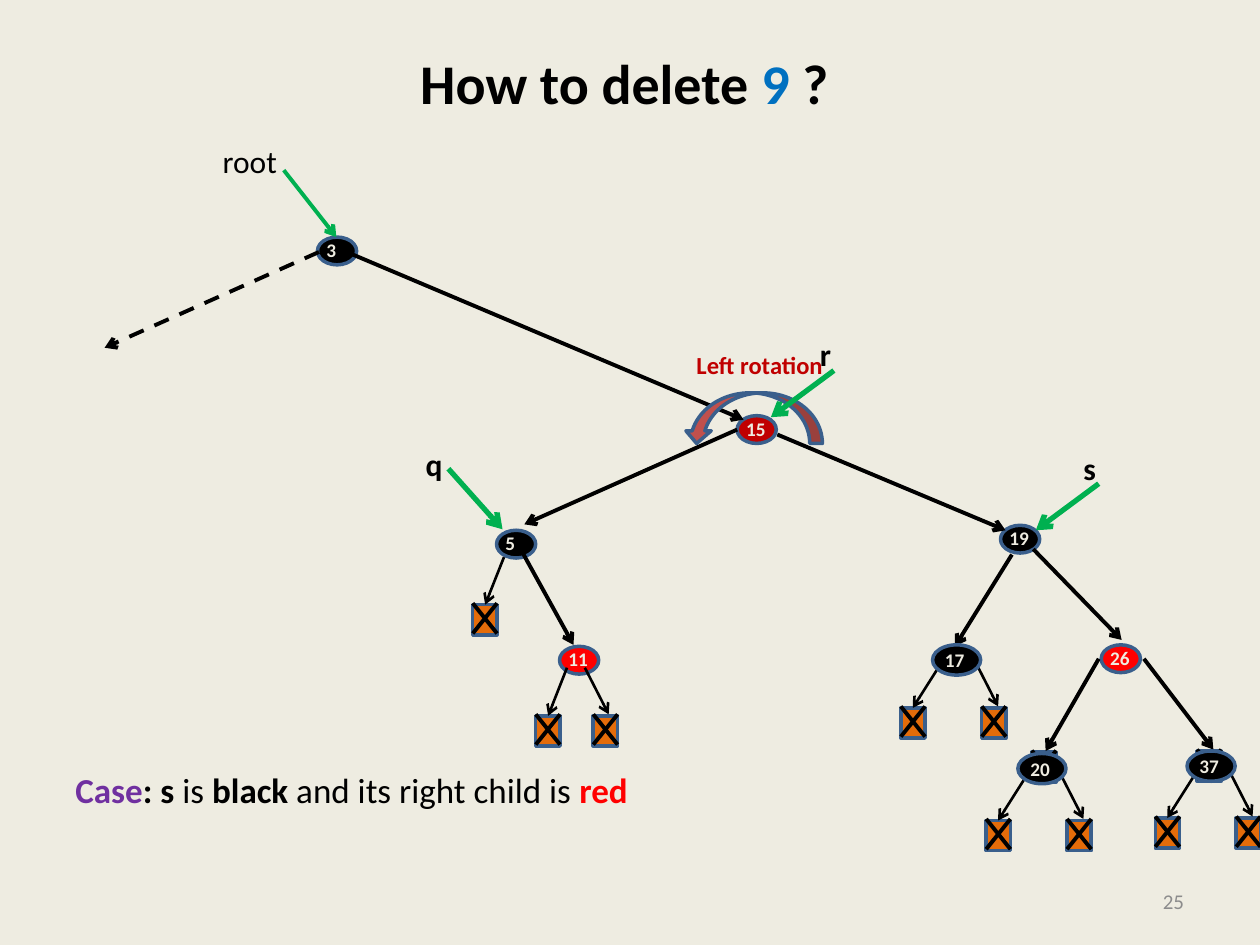
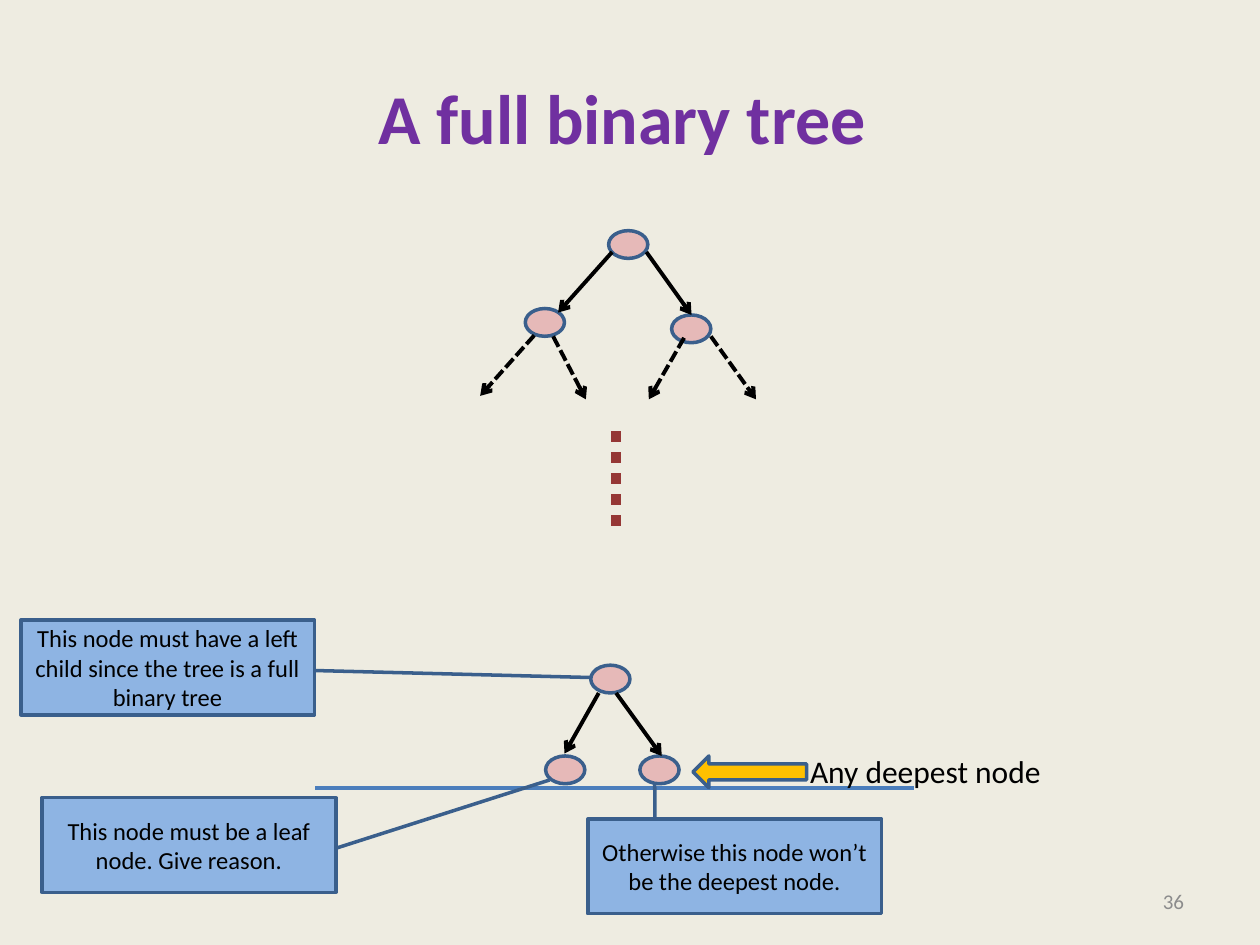
from typing import NamedTuple, Optional

from lxml.etree import SubElement
from pptx import Presentation
from pptx.dml.color import RGBColor
from pptx.enum.dml import MSO_LINE as Dash
from pptx.enum.shapes import MSO_CONNECTOR, MSO_SHAPE as Kind
from pptx.enum.text import MSO_ANCHOR as Anchor, PP_ALIGN as Align
from pptx.oxml.ns import qn
from pptx.util import Cm, Pt

FONT = "Calibri"
PAPER, BLACK, EDGE = "EEECE1", "000000", "3A5F8C"
RED, DARK_RED, GREEN, PURPLE = "FF0000", "C00000", "00B050", "7030A0"
ORANGE, PINK, GOLD, SKY = "E46C0A", "E6B9B8", "FFC000", "8EB4E3"


class Box(NamedTuple):
    x: float
    y: float
    w: float
    h: float


class Run(NamedTuple):
    text: str
    color: str = BLACK
    bold: bool = False


class Line(NamedTuple):
    x1: float
    y1: float
    x2: float
    y2: float
    color: str = BLACK
    width: float = 2.25
    dash: Optional[Dash] = None
    head: bool = True


class Node(NamedTuple):
    x: float
    y: float
    key: str = ""
    fill: str = BLACK


class Twig(NamedTuple):
    """A black node whose two children are leaves, drop below its top."""
    x: float
    y: float
    key: str
    drop: float


class Tag(NamedTuple):
    """A pointer name and its green arrow."""
    box: Box
    run: Run
    line: Line


class Note(NamedTuple):
    x: float
    y: float
    text: str
    bends: tuple


SMALL, LARGE, LEAF = (0.79, 0.56), (0.97, 0.61), (0.49, 0.61)
LETTER = (0.71, 0.91)
THIN, BOLD = 1.5, 3

# Slide 25: the search tree
LEAVES = [(9.53, 12.19), (10.8, 14.43), (11.96, 14.43),
          (20.8, 15.16), (24.13, 15.14)]
NODES = [Node(14.86, 8.38, "15", DARK_RED), Node(22.2, 13, "26", RED),
         Node(20.17, 10.59, "19"), Node(10.01, 10.69, "5"),
         Node(11.28, 13.03, "11", RED), Node(6.4, 4.78, "3")]
TWIGS = [Twig(18.8, 13, "17", 1.27), Twig(20.52, 15.19, "20", 1.35),
         Twig(23.93, 15.14, "37", 1.35)]
LINKS = [
    Line(10.16, 11.23, 9.78, 12.19, width=THIN),
    Line(11.43, 13.46, 11.05, 14.43, width=THIN),
    Line(11.79, 13.46, 12.27, 14.4, width=THIN),
    Line(14.86, 8.66, 10.57, 10.57),
    Line(20.4, 11.18, 19.25, 13.03),
    Line(20.83, 11.07, 22.61, 12.9),
    Line(23.06, 13.28, 24.46, 15.11),
    Line(10.54, 11.15, 11.56, 13),
    Line(22.15, 13.28, 21.08, 15.14),
    Line(15.67, 8.76, 20.27, 10.69),
    Line(6.99, 5.08, 14.99, 8.46),
    Line(6.43, 5.08, 2.11, 7.01, dash=Dash.DASH),
]
TAGS = [
    Tag(Box(4.24, 2.74, 1.63, 1.02), Run("root"),
        Line(5.72, 3.43, 6.78, 4.78, GREEN)),
    Tag(Box(8.33, 8.84, *LETTER), Run("q", bold=True),
        Line(9.04, 9.45, 10.13, 10.67, GREEN, BOLD)),
    Tag(Box(21.59, 8.92, *LETTER), Run("s", bold=True),
        Line(22.15, 9.75, 20.88, 10.69, GREEN, BOLD)),
    Tag(Box(16.28, 6.63, *LETTER), Run("r", bold=True),
        Line(16.81, 7.47, 15.54, 8.41, GREEN, BOLD)),
]

# Slide 36: the full binary tree
SPOTS = [(12.9, 15.24), (11.91, 13.41), (11, 15.24),
         (12.27, 4.65), (10.59, 6.22), (13.54, 6.35)]
FLOOR = Line(6.35, 15.88, 18.42, 15.88, "4B7EBC", head=False)
PATHS = [
    Line(12.42, 13.97, 13.34, 15.24),
    Line(12.07, 13.97, 11.38, 15.19),
    Line(13.03, 5.08, 13.94, 6.35),
    Line(12.34, 5.08, 11.25, 6.3),
    Line(10.77, 6.76, 9.68, 7.98, dash=Dash.SQUARE_DOT),
    Line(14.33, 6.78, 15.24, 8.05, dash=Dash.SQUARE_DOT),
    Line(13.79, 6.81, 13.08, 8.05, dash=Dash.SQUARE_DOT),
    Line(11.15, 6.78, 11.81, 8.05, dash=Dash.SQUARE_DOT),
    Line(12.42, 8.69, 12.42, 10.8, "953735", 6, Dash.ROUND_DOT, False),
]
NOTES = [
    Note(0.42, 12.5, "This node must have a left child since the tree "
         "is a full binary tree", (0.533, 1.002, 0.607, 1.942)),
    Note(0.85, 16.08, "This node must be a leaf node. Give reason.",
         (0.533, 1.002, -0.186, 1.728)),
    Note(11.85, 16.51, "Otherwise this node won’t be the deepest node.",
         (0.015, 0.229, -0.38, 0.228)),
]


def rgb(color: str) -> RGBColor:
    return RGBColor.from_string(color)


def place(box: Box) -> list:
    return [Cm(v) for v in box]


def write(frame, runs: list, size: float, align=Align.LEFT) -> None:
    para = frame.paragraphs[0]
    para.alignment = align
    font = para.font
    font.name, font.size = FONT, Pt(size)
    same = len({run[1:] for run in runs}) == 1
    if same:
        font.color.rgb, font.bold = rgb(runs[0].color), runs[0].bold
    for run in runs:
        part = para.add_run()
        part.text = run.text
        if not same:
            part.font.color.rgb, part.font.bold = rgb(run.color), run.bold


def add_text(slide, box: Box, runs: list, size: float, align=Align.LEFT,
             anchor=Anchor.TOP, wrap: bool = False, foot: float = 0.13) -> None:
    """Add a text box; foot is its bottom inset."""
    frame = slide.shapes.add_textbox(*place(box)).text_frame
    frame.word_wrap, frame.vertical_anchor = wrap, anchor
    frame.margin_bottom = Cm(foot)
    write(frame, runs, size, align)


def add_form(slide, kind: Kind, box: Box, fill: str):
    shape = slide.shapes.add_shape(kind, *place(box))
    shape.shadow.inherit = False
    shape.fill.solid()
    shape.fill.fore_color.rgb = rgb(fill)
    shape.line.color.rgb, shape.line.width = rgb(EDGE), Pt(2)
    return shape


def add_line(slide, line: Line) -> None:
    ends = [Cm(v) for v in line[:4]]
    link = slide.shapes.add_connector(MSO_CONNECTOR.STRAIGHT, *ends)
    link.line.color.rgb, link.line.width = rgb(line.color), Pt(line.width)
    if line.dash is not None:
        link.line.dash_style = line.dash
    props = link._element.spPr
    if line.head:
        SubElement(props.find(qn("a:ln")), qn("a:tailEnd"), type="arrow")
    SubElement(props, qn("a:effectLst"))


def add_leaf(slide, x: float, y: float) -> None:
    add_form(slide, Kind.RECTANGLE, Box(x, y, *LEAF), ORANGE)
    left, right, top, base = x, x + LEAF[0], y - 0.03, y + LEAF[1] - 0.03
    add_line(slide, Line(right, top, left, base, head=False))
    add_line(slide, Line(left, top, right, base, head=False))


def add_key(slide, x: float, y: float, key: str) -> None:
    box = Box(x, y, 0.51 + 0.2 * len(key), 0.74)
    add_text(slide, box, [Run(key, PAPER, True)], 11)


def add_twig(slide, twig: Twig) -> None:
    x, y = twig.x, twig.y + twig.drop
    for step in (-0.64, 0.99):
        add_leaf(slide, x + step, y)
    add_line(slide, Line(x + 0.14, y - 0.85, x - 0.4, y, width=THIN))
    add_line(slide, Line(x + 0.84, y - 0.97, x + 1.32, y - 0.03, width=THIN))
    add_form(slide, Kind.OVAL, Box(x, twig.y, *LARGE), BLACK)
    add_key(slide, x, twig.y - 0.05, twig.key)


def add_page(deck, box: Box, title: list, size: float, number: str,
             foot: float = 0.13):
    """Add a slide with its ground, title and number."""
    slide = deck.slides.add_slide(deck.slide_layouts[6])
    ground = slide.background.fill
    ground.solid()
    ground.fore_color.rgb = rgb(PAPER)
    add_text(slide, box, title, size, Align.CENTER, Anchor.MIDDLE, True, foot)
    add_text(slide, Box(18.2, 17.65, 5.92, 1.02), [Run(number, "8C8C8C")], 12,
             Align.RIGHT, Anchor.MIDDLE, True)
    return slide


def draw_search(deck) -> None:
    title = [Run("How to delete ", bold=True), Run("9 ", "0070C0", True),
             Run("?", bold=True)]
    slide = add_page(deck, Box(0.2, 0.76, 24.77, 3.18), title, 32, "25", 1.5)
    case = [Run("Case", PURPLE, True), Run(": s ", bold=True), Run("is "),
            Run("black", bold=True), Run(" and its right child is "),
            Run("red", RED, True)]
    add_text(slide, Box(1.27, 4.45, 22.86, 12.57), case, 20,
             anchor=Anchor.BOTTOM, wrap=True, foot=0.69)
    for spot in LEAVES:
        add_leaf(slide, *spot)
    for node in NODES:
        add_form(slide, Kind.OVAL, Box(node.x, node.y, *SMALL), node.fill)
    for link in LINKS:
        add_line(slide, link)
    for node in NODES:
        add_key(slide, node.x - 0.07, node.y - 0.1, node.key)
    for twig in TWIGS:
        add_twig(slide, twig)
    turn = add_form(slide, Kind.CURVED_DOWN_ARROW,
                    Box(13.79, 7.92, 2.79, 1.02), "C0504D")
    turn._element.spPr.find(qn("a:xfrm")).set("flipH", "1")
    add_text(slide, Box(13.79, 6.93, 3.1, 0.86),
             [Run("Left rotation", DARK_RED, True)], 14)
    for tag in TAGS:
        add_text(slide, tag.box, [tag.run], 18)
        add_line(slide, tag.line)


def draw_full(deck) -> None:
    title = [Run("A full binary tree ", PURPLE, True)]
    slide = add_page(deck, Box(1.27, 0.76, 22.86, 3.18), title, 40, "36")
    add_line(slide, FLOOR)
    for spot in SPOTS:
        add_form(slide, Kind.OVAL, Box(*spot, *SMALL), PINK)
    for line in PATHS:
        add_line(slide, line)
    add_form(slide, Kind.LEFT_ARROW, Box(13.97, 15.24, 2.29, 0.64), GOLD)
    add_text(slide, Box(16.08, 15.04, 5.23, 1.02),
             [Run("Any deepest node")], 18)
    for note in NOTES:
        shape = add_form(slide, Kind.LINE_CALLOUT_1,
                         Box(note.x, note.y, 5.92, 1.91), SKY)
        for i, bend in enumerate(note.bends):
            shape.adjustments[i] = bend
        shape.text_frame.vertical_anchor = Anchor.MIDDLE
        write(shape.text_frame, [Run(note.text)], 14, Align.CENTER)


def main() -> None:
    deck = Presentation()
    deck.slide_width, deck.slide_height = Cm(25.4), Cm(19.05)
    draw_search(deck)
    draw_full(deck)
    deck.save("out.pptx")


if __name__ == "__main__":
    main()
